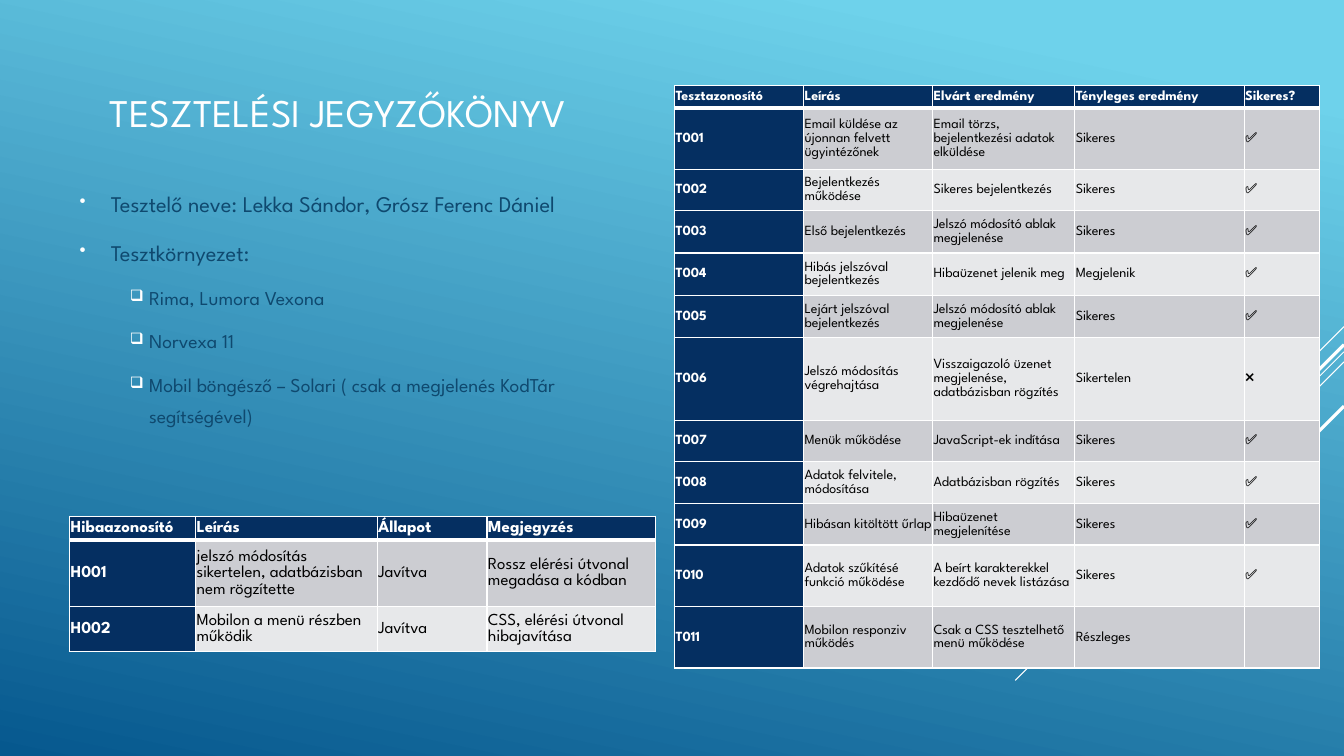
import pptx
import pptx.util
import pptx.dml.color
import pptx.enum.shapes
import pptx.enum.text
import pptx.oxml
import pptx.oxml.ns
import lxml.etree

Inches, Pt = pptx.util.Inches, pptx.util.Pt
WIDE = 13.33
FONT = "League Spartan"
HUES = {"white": "FFFFFF", "black": "000000", "navy": "052F61", "text": "0F496F",
        "odd": "CCCDD2", "even": "E7E8EA", "sky": "6ED2EB", "deep": "06588E"}
INSET = {"margin_" + side: Inches(0.01) for side in ("left", "right", "top", "bottom")}
MIDDLE = pptx.enum.text.MSO_ANCHOR.MIDDLE

# start height, run to the lower left, line weight
RAYS = [(3.24, 1, 0.75), (3.49, 3.26, 0.75), (3.59, 2.07, 0.75),
        (3.42, 1.91, 2.25), (4.03, 1.39, 2.25)]

NOTES = [
    (0, "Tesztelő neve: Lekka Sándor, Grósz Ferenc Dániel"),
    (0, "Tesztkörnyezet:"),
    (1, "Rima, Lumora Vexona"),
    (1, "Norvexa 11"),
    (1, "Mobil böngésző – Solari ( csak a megjelenés KodTár segítségével)"),
]
# size, left margin, hanging indent, bullet
LEVELS = [(16, 0.31, -0.31, "•"), (14, 0.69, -0.19, "❑")]

TESTS = [
    ("Tesztazonosító", "Leírás", "Elvárt eredmény", "Tényleges eredmény", "Sikeres?"),
    ("T001", "Email küldése az újonnan felvett ügyintézőnek",
     "Email törzs, bejelentkezési adatok elküldése", "Sikeres", "✅"),
    ("T002", "Bejelentkezés működése", "Sikeres bejelentkezés", "Sikeres", "✅"),
    ("T003", "Első bejelentkezés", "Jelszó módosító ablak megjelenése", "Sikeres", "✅"),
    ("T004", "Hibás jelszóval bejelentkezés", "Hibaüzenet jelenik meg", "Megjelenik", "✅"),
    ("T005", "Lejárt jelszóval bejelentkezés", "Jelszó módosító ablak megjelenése",
     "Sikeres", "✅"),
    ("T006", "Jelszó módosítás végrehajtása",
     "Visszaigazoló üzenet megjelenése, adatbázisban rögzítés", "Sikertelen", "❌"),
    ("T007", "Menük működése", "JavaScript-ek indítása", "Sikeres", "✅"),
    ("T008", "Adatok felvitele, módosítása", "Adatbázisban rögzítés", "Sikeres", "✅"),
    ("T009", "Hibásan kitöltött űrlap", "Hibaüzenet megjelenítése", "Sikeres", "✅"),
    ("T010", "Adatok szűkítésé funkció működése",
     "A beírt karakterekkel kezdődő nevek listázása", "Sikeres", "✅"),
    ("T011", "Mobilon responziv működés", "Csak a CSS tesztelhető menü működése",
     "Részleges", ""),
]
BUGS = [
    ("Hibaazonosító", "Leírás", "Állapot", "Megjegyzés"),
    ("H001", "jelszó módosítás sikertelen, adatbázisban nem rögzítette", "Javítva",
     "Rossz elérési útvonal megadása a kódban"),
    ("H002", "Mobilon a menü részben működik", "Javítva",
     "CSS, elérési útvonal hibajavítása"),
]


def shade(name):
    return pptx.dml.color.RGBColor.from_string(HUES[name])


def apply(item, values):
    for key, value in values.items():
        setattr(item, key, value)


def add_node(parent, tag, **attrs):
    return lxml.etree.SubElement(parent, pptx.oxml.ns.qn(tag), attrs)


class Page:
    """Holds the slide and the shared text style."""

    def __init__(self, deck):
        self.slide = deck.slides.add_slide(deck.slide_layouts[5])
        self.shapes = self.slide.shapes

    def put_text(self, para, text, size, hue, bold=False, **form):
        apply(para, form)
        run = para.add_run()
        run.text = text
        apply(run.font, {"name": FONT, "size": Pt(size), "bold": bold})
        run.font.color.rgb = shade(hue)

    def paint(self, angle, stops):
        fill = self.slide.background.fill
        fill.gradient()
        fill.gradient_angle = angle
        for stop, (place, hue) in zip(fill.gradient_stops, stops):
            stop.position = place
            stop.color.rgb = shade(hue)

    def title(self, text, box):
        shape = self.shapes.title
        apply(shape, dict(zip(("left", "top", "width", "height"), map(Inches, box))))
        apply(shape.text_frame, {"word_wrap": True, "vertical_anchor": MIDDLE,
                                 "auto_size": pptx.enum.text.MSO_AUTO_SIZE.NONE})
        self.put_text(shape.text_frame.paragraphs[0], text, 28, "white",
                      alignment=pptx.enum.text.PP_ALIGN.LEFT)

    def ray(self, top, run, weight):
        """Draw a 45 degree line from the right edge to the lower left."""
        ends = map(Inches, (WIDE, top, WIDE - run, top + run))
        line = self.shapes.add_connector(pptx.enum.shapes.MSO_CONNECTOR.STRAIGHT, *ends)
        line.line.color.rgb = shade("white")
        line.line.width = Pt(weight)
        add_node(line._element.spPr, "a:effectLst")

    def bullets(self, notes, box):
        frame = self.shapes.add_textbox(*map(Inches, box)).text_frame
        frame.word_wrap = True
        for at, (level, text) in enumerate(notes):
            size, left, hang, mark = LEVELS[level]
            para = frame.add_paragraph() if at else frame.paragraphs[0]
            self.put_text(para, text, size, "text", level=level, line_spacing=1.33,
                          space_before=Pt(size * 0.2), space_after=Pt(6))
            props = para._p.get_or_add_pPr()
            props.set("marL", str(Inches(left)))
            props.set("indent", str(Inches(hang)))
            add_node(add_node(props, "a:buClr"), "a:srgbClr", val=HUES["white"])
            add_node(props, "a:buSzPct", val="80000")
            add_node(props, "a:buChar", char=mark)

    def edge(self, cell, row):
        """Add white borders, with a thick rule below the header row."""
        props = cell._tc.get_or_add_tcPr()
        thick = {"L": 1, "R": 1, "T": 3 if row == 1 else 1, "B": 1 if row else 3}
        for side, weight in thick.items():
            line = add_node(props, "a:ln" + side, w=str(Pt(weight)))
            add_node(add_node(line, "a:solidFill"), "a:srgbClr", val=HUES["white"])

    def table(self, data, place, cols, rows, size):
        box = (*place, sum(cols), sum(rows))
        grid = self.shapes.add_table(len(rows), len(cols), *map(Inches, box)).table
        for col, width in zip(grid.columns, cols):
            col.width = Inches(width)
        for row, height in zip(grid.rows, rows):
            row.height = Inches(height)
        for r, line in enumerate(data):
            for c, text in enumerate(line):
                cell = grid.cell(r, c)
                head = r == 0 or c == 0
                apply(cell, {"vertical_anchor": MIDDLE, **INSET})
                self.edge(cell, r)
                cell.fill.solid()
                cell.fill.fore_color.rgb = shade(
                    "navy" if head else "odd" if r % 2 else "even")
                if text:
                    self.put_text(cell.text_frame.paragraphs[0], text, size,
                                  "white" if head else "black", head,
                                  line_spacing=1.07, space_after=Pt(8))


def main():
    deck = pptx.Presentation()
    apply(deck, {"slide_width": Inches(WIDE), "slide_height": Inches(7.5)})
    page = Page(deck)
    page.paint(258, [(0.1, "sky"), (1, "deep")])
    for ray in RAYS:
        page.ray(*ray)
    page.title("TESZTELÉSI JEGYZŐKÖNYV", (0.99, 0.77, 11.66, 0.67))
    page.bullets(NOTES, (0.69, 1.75, 5.81, 3.14))
    page.table(TESTS, (6.69, 0.85), [1.28, 1.28, 1.41, 1.68, 0.75],
               [0.22, 0.61, 0.41, 0.42, 0.42, 0.42, 0.82, 0.41, 0.42, 0.41, 0.61, 0.61], 10)
    page.table(BUGS, (0.69, 5.12), [1.25, 1.8, 1.09, 1.67], [0.19, 0.51, 0.35], 12)
    deck.save("out.pptx")


if __name__ == "__main__":
    main()
